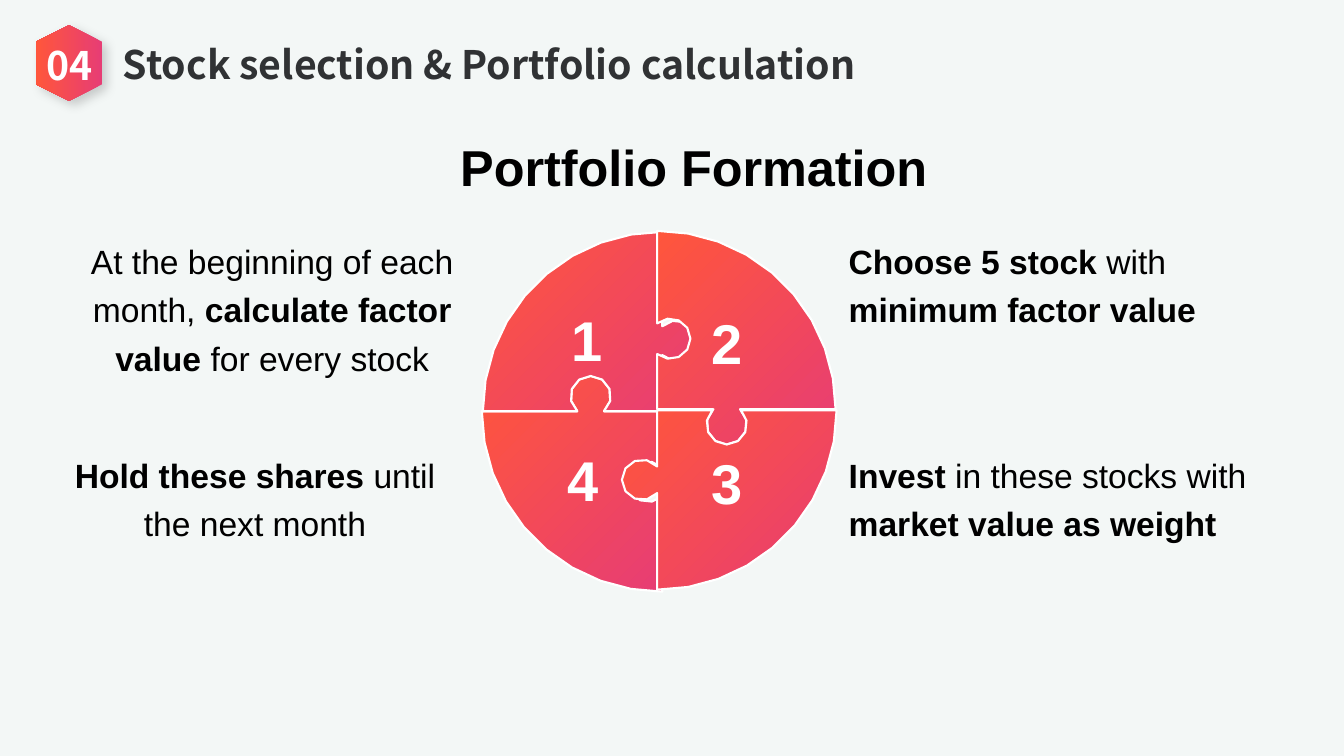
import dataclasses
import math

import lxml.etree
import pptx
import pptx.dml.color
import pptx.enum.shapes
import pptx.enum.text
import pptx.oxml
import pptx.util

RGBColor = pptx.dml.color.RGBColor
Align = pptx.enum.text.PP_ALIGN
Anchor = pptx.enum.text.MSO_ANCHOR

PX = 9144  # 100 px to the inch
BACKGROUND = RGBColor(0xF3, 0xF7, 0xF6)
ORANGE = RGBColor(0xFF, 0x56, 0x3C)
PINK = RGBColor(0xE7, 0x3D, 0x74)
WHITE = RGBColor(0xFF, 0xFF, 0xFF)
BLACK = RGBColor(0, 0, 0)
CHARCOAL = RGBColor(0x30, 0x32, 0x34)
BODY_FONT = "Arial"
HEADER_FONT = "Noto Sans CJK SC"
TAB_RADIUS = 20
RIM_STEPS = 9
TAB_STEPS = 8
SHADOW = (
    '<a:effectLst xmlns:a="http://schemas.openxmlformats.org/drawingml/2006/main">'
    '<a:outerShdw blurRad="101600" dist="63500" dir="2700000" algn="tl" rotWithShape="0">'
    '<a:srgbClr val="000000"><a:alpha val="18000"/></a:srgbClr>'
    "</a:outerShdw></a:effectLst>"
)

Point = tuple[float, float]
Box = tuple[int, int, int, int]


@dataclasses.dataclass(frozen=True)
class Piece:
    """A quarter of the puzzle, running clockwise from the start angle."""
    hub: Point
    radius: int
    start: int
    tab_in: Point
    tab_out: Point


@dataclasses.dataclass(frozen=True)
class Label:
    """A text box; each run is a text and whether it is bold."""
    box: Box
    runs: list[tuple[str, bool]]
    size: int = 24
    color: RGBColor = BLACK
    align: Align = Align.LEFT


PIECES = [
    Piece((657, 408), 179, 90, (586, 393), (643, 478)),
    Piece((657, 408), 178, 180, (671, 338), (586, 393)),
    Piece((652, 406), 177, 270, (721, 421), (665, 336)),
    Piece((652, 407), 178, 0, (637, 476), (721, 421)),
]
LABELS = [
    Label((436, 123, 505, 73), [("Portfolio Formation", True)], 36, align=Align.CENTER),
    Label((72, 231, 396, 145),
          [("At the beginning of each month, ", False), ("calculate factor value ", True),
           ("for every stock", False)], align=Align.CENTER),
    Label((842, 231, 420, 92),
          [("Choose 5 stock ", True), ("with ", False), ("minimum factor value", True)]),
    Label((842, 443, 443, 92),
          [("Invest", True), (" in these stocks with ", False),
           ("market value as weight", True)]),
    Label((55, 443, 396, 92),
          [("Hold these shares ", True), ("until the next month", False)],
          align=Align.CENTER),
]
NUMBER_SPOTS = [(560, 290), (699, 293), (699, 432), (556, 429)]


def arc(center: Point, radius: float, start: float, sweep: float, steps: int) -> list[Point]:
    angles = [start + sweep * i / steps for i in range(steps + 1)]
    return [(center[0] + radius * math.cos(a), center[1] + radius * math.sin(a))
            for a in angles]


def tab_arc(center: Point, hub: Point, heading: float) -> list[Point]:
    """Follow a tab the long way round, between its crossings of a spoke."""
    ux, uy = math.cos(heading), math.sin(heading)
    dx, dy = hub[0] - center[0], hub[1] - center[1]
    offset = dy * ux - dx * uy
    half = math.sqrt(TAB_RADIUS ** 2 - offset ** 2)
    enter, leave = (math.atan2(offset * ux + side * uy, -offset * uy + side * ux)
                    for side in (-half, half))
    sweep = (leave - enter) % math.tau
    if sweep < math.pi:
        sweep -= math.tau
    return arc(center, TAB_RADIUS, enter, sweep, TAB_STEPS)


def fill_gradient(s, first: RGBColor, last: RGBColor, angle: int) -> None:
    s.fill.gradient()
    s.fill.gradient_angle = angle
    for stop, color in zip(s.fill.gradient_stops, (first, last)):
        stop.color.rgb = color


def draw_piece(shapes, piece: Piece) -> None:
    start = math.radians(piece.start)
    quarter = math.pi / 2
    outline = (arc(piece.hub, piece.radius, start, quarter, RIM_STEPS)
               + tab_arc(piece.tab_in, piece.hub, start + quarter + math.pi)
               + [piece.hub]
               + tab_arc(piece.tab_out, piece.hub, start))
    points = [(round(x * PX), round(y * PX)) for x, y in outline]
    builder = shapes.build_freeform(*points[0])
    builder.add_line_segments(points[1:], close=True)
    s = builder.convert_to_shape()
    s.shadow.inherit = False
    fill_gradient(s, ORANGE, PINK, 315)
    s.line.color.rgb = WHITE
    s.line.width = pptx.util.Pt(1.5)


def place(s, box: Box) -> None:
    s.left, s.top, s.width, s.height = (n * PX for n in box)


def format_run(r, size: int, font: str, color: RGBColor, bold: bool) -> None:
    r.font.size = pptx.util.Pt(size)
    r.font.name = font
    r.font.color.rgb = color
    r.font.bold = bold


def draw_label(shapes, label: Label) -> None:
    tf = shapes.add_textbox(*(n * PX for n in label.box)).text_frame
    tf.word_wrap = True
    tf.margin_left = tf.margin_top = tf.margin_right = tf.margin_bottom = 0
    p = tf.paragraphs[0]
    p.alignment = label.align
    p.line_spacing = 1.2
    for text, bold in label.runs:
        r = p.add_run()
        r.text = text
        format_run(r, label.size, BODY_FONT, label.color, bold)


def write_header(s, text: str, color: RGBColor, align: Align) -> None:
    tf = s.text_frame
    tf.text = text
    tf.word_wrap = True
    tf.auto_size = pptx.enum.text.MSO_AUTO_SIZE.NONE
    tf.vertical_anchor = Anchor.MIDDLE
    p = tf.paragraphs[0]
    p.alignment = align
    format_run(p.runs[0], 28, HEADER_FONT, color, True)


def draw_header(slide) -> None:
    s = slide.shapes.add_shape(pptx.enum.shapes.MSO_SHAPE.HEXAGON, 0, 0, 0, 0)
    place(s, (31, 30, 75, 65))
    s.rotation = 90
    fill_gradient(s, PINK, ORANGE, 270)
    s.line.fill.background()
    s._element.spPr.append(lxml.etree.fromstring(SHADOW, pptx.oxml.oxml_parser))
    number = slide.shapes.add_textbox(0, 0, 0, 0)
    place(number, (31, 36, 76, 57))
    write_header(number, "04", WHITE, Align.CENTER)
    title = slide.shapes.title
    place(title, (112, 35, 785, 57))
    write_header(title, "Stock selection & Portfolio calculation", CHARCOAL, Align.LEFT)


def main() -> None:
    prs = pptx.Presentation()
    prs.slide_width = pptx.util.Emu(12192000)
    prs.slide_height = 750 * PX
    slide = prs.slides.add_slide(prs.slide_layouts[5])
    slide.background.fill.solid()
    slide.background.fill.fore_color.rgb = BACKGROUND
    draw_header(slide)
    for piece in PIECES:
        draw_piece(slide.shapes, piece)
    for label in LABELS:
        draw_label(slide.shapes, label)
    for number, (left, top) in enumerate(NUMBER_SPOTS, start=1):
        draw_label(slide.shapes, Label((left, top, 38, 81), [(str(number), True)],
                                       40, WHITE, Align.RIGHT))
    prs.save("out.pptx")


if __name__ == "__main__":
    main()
